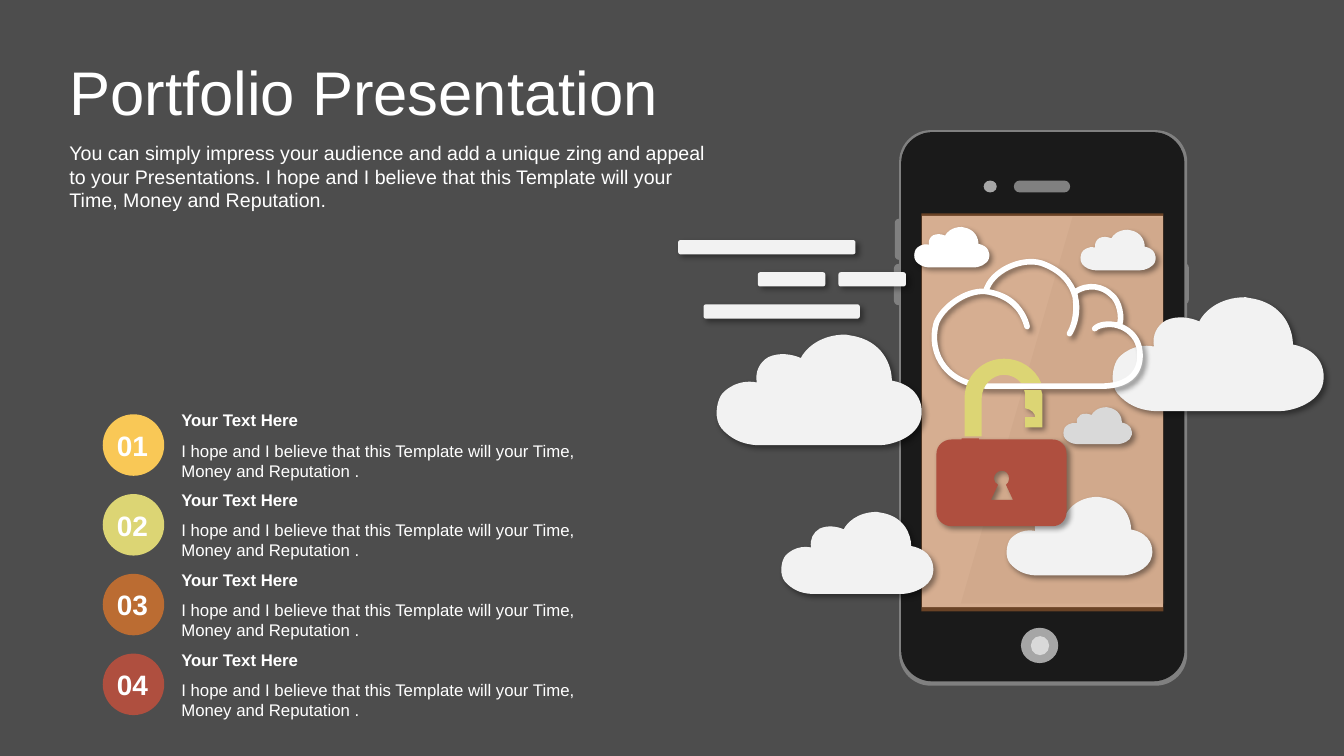
from dataclasses import dataclass

from lxml import etree
from pptx import Presentation
from pptx.dml.color import RGBColor
from pptx.enum.shapes import MSO_SHAPE
from pptx.enum.text import MSO_ANCHOR, MSO_AUTO_SIZE, PP_ALIGN
from pptx.oxml.ns import qn
from pptx.util import Cm, Pt

RECT = MSO_SHAPE.RECTANGLE
ROUND = MSO_SHAPE.ROUNDED_RECTANGLE
OVAL = MSO_SHAPE.OVAL
TOP, MIDDLE = MSO_ANCHOR.TOP, MSO_ANCHOR.MIDDLE
LEFT, CENTER = PP_ALIGN.LEFT, PP_ALIGN.CENTER
GROW = MSO_AUTO_SIZE.SHAPE_TO_FIT_TEXT


@dataclass(frozen=True)
class Theme:
    """Colours, font and type sizes of the slide."""
    font: str = "Arial"
    back: str = "4D4D4D"
    white: str = "FFFFFF"
    pale: str = "F2F2F2"
    light: str = "D9D9D9"
    silver: str = "A6A6A6"
    glare: str = "999999"
    grey: str = "808080"
    case: str = "1A1A1A"
    shade: str = "000000"
    gold: str = "F9C856"
    lime: str = "DCD574"
    copper: str = "BB6C32"
    red: str = "AF4F3F"
    title: int = 44
    badge: int = 20
    lead: int = 14
    small: int = 12


T = Theme()
UNIT = 0.0254
SPAN = 210

CLOUD = [(132, 0), (133, 0, 135, 1, 137, 1), (170, 6, 179, 32, 179, 47),
         (209, 53, 211, 75, 209, 85), (205, 106, 177, 113, 167, 113), (41, 113),
         (25, 112, 14, 106, 5, 96), (-3, 86, 0, 70, 4, 63), (7, 57, 22, 45, 41, 49),
         (39, 38, 44, 28, 53, 23), (64, 18, 77, 20, 86, 24), (90, 16, 104, 0, 132, 0)]
SWIRL = [(57, 124), (168, 124), (199, 123, 207, 104, 203, 85),
         (197, 62, 168, 58, 159, 67), (164, 62, 177, 62, 183, 64),
         (187, 58, 184, 39, 175, 33), (168, 26, 153, 21, 139, 31),
         (141, 42, 142, 58, 134, 72), (146, 52, 146, 16, 106, 2),
         (86, -4, 56, 10, 51, 30), (66, 33, 84, 38, 92, 65), (88, 48, 74, 33, 50, 30),
         (30, 29, 8, 46, 2, 61), (-7, 92, 13, 125, 57, 124)]
HOOK = [(0, 0), (17, 0), (17, 2, 18, 3, 18, 4), (18, 37), (1, 37), (1, 27), (11, 27),
        (11, 23, 7, 19, 1, 18), (1, 7), (1, 4, 1, 2, 0, 0)]
SHACKLE = [(39, 0), (56, 0, 70, 10, 76, 24), (56, 24), (52, 19, 46, 16, 39, 16),
           (27, 16, 17, 27, 17, 39), (17, 77), (0, 77), (0, 39), (0, 17, 18, 0, 39, 0)]
KEYHOLE = [(65, 32), (61, 32, 57, 35, 57, 40), (57, 42, 59, 45, 61, 46), (54, 61),
           (76, 61), (69, 46), (71, 45, 72, 42, 72, 40), (72, 35, 69, 32, 65, 32)]
LOCK = [(25, 0), (42, 0), (42, 1), (115, 1), (123, 1, 129, 7, 129, 15), (129, 73),
        (129, 81, 123, 87, 115, 87), (15, 87), (7, 87, 0, 81, 0, 73), (0, 15),
        (0, 7, 7, 1, 15, 1), (25, 1)]
GLARE = [(111, 0), (201, 1), (202, 384), (0, 384)]


def paint(shape, fill=None, alpha=None, line=None, shadow=False):
    """Set fill, outline and shadow of a shape."""
    shape.shadow.inherit = False
    if fill:
        shape.fill.solid()
        shape.fill.fore_color.rgb = RGBColor.from_string(fill)
    else:
        shape.fill.background()
    if line:
        shape.line.color.rgb = RGBColor.from_string(line)
        shape.line.width = Pt(4)
    else:
        shape.line.fill.background()
    props = shape.element.spPr
    if alpha:
        tone = props.find(qn("a:solidFill")).find(qn("a:srgbClr"))
        etree.SubElement(tone, qn("a:alpha"), val=str(alpha * 1000))
    if shadow:
        cast = etree.SubElement(props.find(qn("a:effectLst")), qn("a:outerShdw"),
                                blurRad=str(Pt(4)), dist=str(Pt(3)), dir="2700000",
                                algn="tl", rotWithShape="0")
        tone = etree.SubElement(cast, qn("a:srgbClr"), val=T.shade)
        etree.SubElement(tone, qn("a:alpha"), val="40000")


def block(slide, kind, x, y, w, h, fill, bend=None, **style):
    """Add a preset shape, with an optional corner radius."""
    shape = slide.shapes.add_shape(kind, Cm(x), Cm(y), Cm(w), Cm(h))
    if bend is not None:
        shape.adjustments[0] = bend
    paint(shape, fill, **style)


def curve(shape, paths):
    """Join the control points of each curve into a cubic segment."""
    route = next(shape.element.spPr.iter(qn("a:path")))
    nodes = iter(list(route))
    for path in paths:
        next(nodes)
        for part in path[1:]:
            node = next(nodes)
            if len(part) == 6:
                bend = etree.Element(qn("a:cubicBezTo"))
                node.addprevious(bend)
                for step in (node, next(nodes), next(nodes)):
                    bend.append(step[0])
                    route.remove(step)
        next(nodes)


def outline(slide, x, y, *paths, unit=UNIT, **style):
    """Add a free shape made of one or more closed paths."""
    pen = slide.shapes.build_freeform(*paths[0][0], scale=Cm(unit))
    for index, path in enumerate(paths):
        if index:
            pen.move_to(*path[0])
        dots = [part[i:i + 2] for part in path[1:] for i in range(0, len(part), 2)]
        pen.add_line_segments(dots, close=True)
    shape = pen.convert_to_shape(Cm(x), Cm(y))
    curve(shape, paths)
    paint(shape, **style)


def cloud(slide, x, y, w, fill=T.pale):
    """Add a cloud of a given width."""
    outline(slide, x, y, CLOUD, unit=w / SPAN, fill=fill, shadow=True)


def write(slide, text, x, y, w, h, size=T.small, bold=False, align=LEFT,
          anchor=TOP, wrap=True, space=None, grow=True):
    """Add a text box with one paragraph."""
    frame = slide.shapes.add_textbox(Cm(x), Cm(y), Cm(w), Cm(h)).text_frame
    frame.word_wrap = wrap
    frame.vertical_anchor = anchor
    if grow:
        frame.auto_size = GROW
    line = frame.paragraphs[0]
    line.text = text
    line.alignment = align
    line.line_spacing = space
    font = line.runs[0].font
    font.name, font.size, font.bold = T.font, Pt(size), bold
    font.color.rgb = RGBColor.from_string(T.white)


def phone(slide):
    """Draw the phone with its keys and screen."""
    for x, y in ((22.55, 5.51), (22.53, 6.65), (29.74, 6.63)):
        block(slide, ROUND, x, y, 0.22, 1.04, T.grey, bend=0.5)
    block(slide, ROUND, 22.66, 3.28, 7.26, 14, T.grey, bend=0.11)
    block(slide, ROUND, 22.71, 3.33, 7.14, 13.84, T.case, bend=0.11)
    block(slide, RECT, 23.24, 5.44, 6.07, 9.86, T.pale)
    block(slide, OVAL, 25.73, 15.82, 0.94, 0.89, T.silver)
    block(slide, OVAL, 25.98, 16.03, 0.46, 0.48, T.light)
    outline(slide, 24.21, 5.46, GLARE, fill=T.glare, alpha=10)
    block(slide, ROUND, 25.55, 4.55, 1.42, 0.3, T.grey, bend=0.5)
    block(slide, OVAL, 24.79, 4.55, 0.33, 0.3, T.silver)


def points(slide):
    """Write the numbered points."""
    for row, tint in enumerate((T.gold, T.lime, T.copper, T.red)):
        y = 10.44 + 2.01 * row
        block(slide, OVAL, 2.59, y, 1.55, 1.55, tint)
        write(slide, f"{row + 1:02}", 2.69, y + 0.23, 1.3, 1.12, size=T.badge,
              bold=True, align=CENTER, wrap=False)
        write(slide, "I hope and I believe that this Template will your Time, "
              "Money and Reputation .", 4.32, y + 0.53, 10.64, 1.27)
        write(slide, "Your Text Here", 4.32, y - 0.23, 10.54, 0.76, bold=True)


def scene(slide):
    """Draw the tinted screen, clouds, lock and speed bars."""
    block(slide, RECT, 23.22, 5.38, 6.1, 10.03, T.copper, alpha=50)
    cloud(slide, 18.06, 8.43, 5.18)
    cloud(slide, 28.04, 7.49, 5.33)
    cloud(slide, 26.8, 10.26, 1.73, T.light)
    cloud(slide, 23.04, 5.72, 1.9, T.white)
    cloud(slide, 27.23, 5.79, 1.9)
    outline(slide, 23.55, 6.58, SWIRL, line=T.white, shadow=True)
    outline(slide, 25.81, 9.83, HOOK, fill=T.lime, shadow=True)
    outline(slide, 24.31, 9.04, SHACKLE, fill=T.lime)
    cloud(slide, 19.69, 12.9, 3.84)
    cloud(slide, 25.37, 12.52, 3.68)
    outline(slide, 23.6, 11.05, KEYHOLE, LOCK, fill=T.red, shadow=True)
    for x, y, w in ((17.09, 6.05, 4.47), (17.73, 7.67, 3.94),
                    (19.1, 6.86, 1.7), (21.13, 6.86, 1.7)):
        block(slide, ROUND, x, y, w, 0.36, T.pale, shadow=True)


def main():
    """Build and save the slide."""
    deck = Presentation()
    deck.slide_width, deck.slide_height = Cm(33.87), Cm(19.05)
    slide = deck.slides.add_slide(deck.slide_layouts[6])
    slide.background.fill.solid()
    slide.background.fill.fore_color.rgb = RGBColor.from_string(T.back)
    phone(slide)
    write(slide, "Portfolio Presentation", 1.5, 1.42, 16.38, 1.98, size=T.title,
          anchor=MIDDLE, space=0.9, grow=False)
    write(slide, "You can simply impress your audience and add a unique zing and "
          "appeal to your Presentations. I hope and I believe that this Template "
          "will your Time, Money and Reputation.", 1.5, 3.43, 16.54, 2.06, size=T.lead)
    points(slide)
    scene(slide)
    deck.save("out.pptx")


if __name__ == "__main__":
    main()
